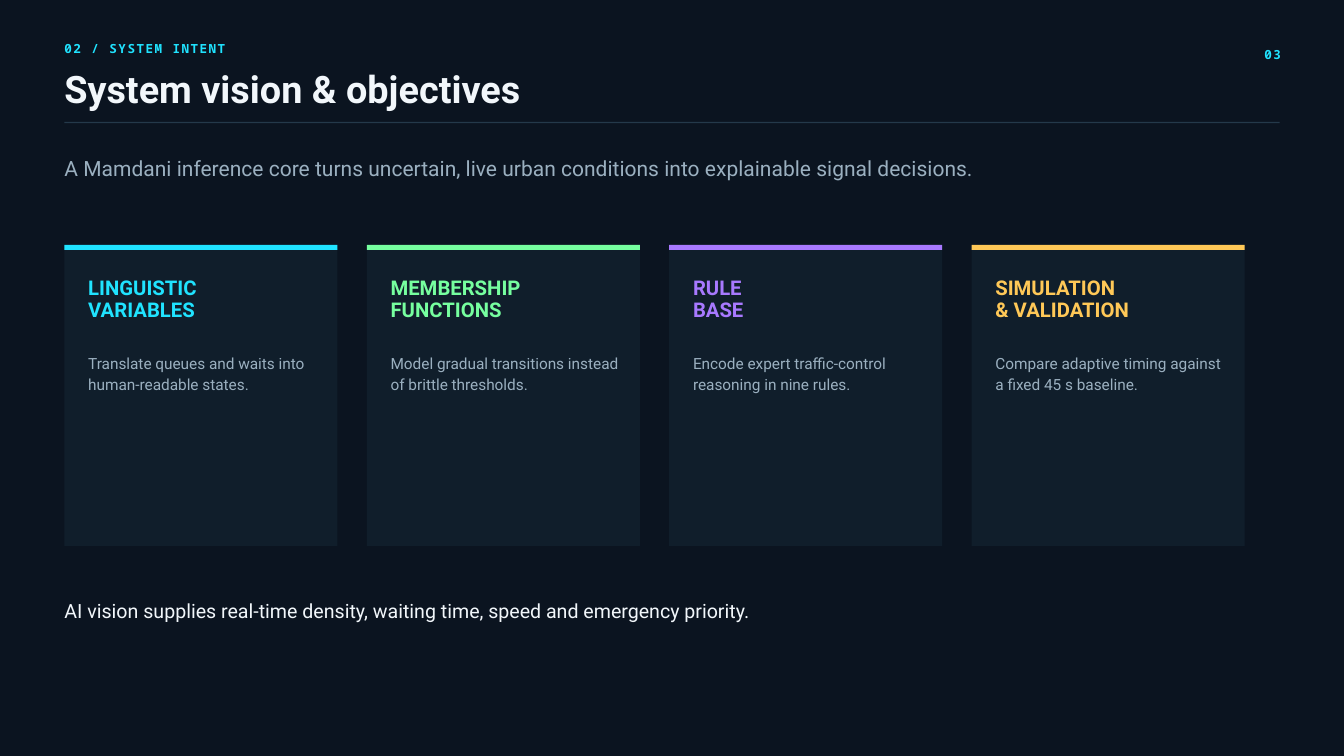
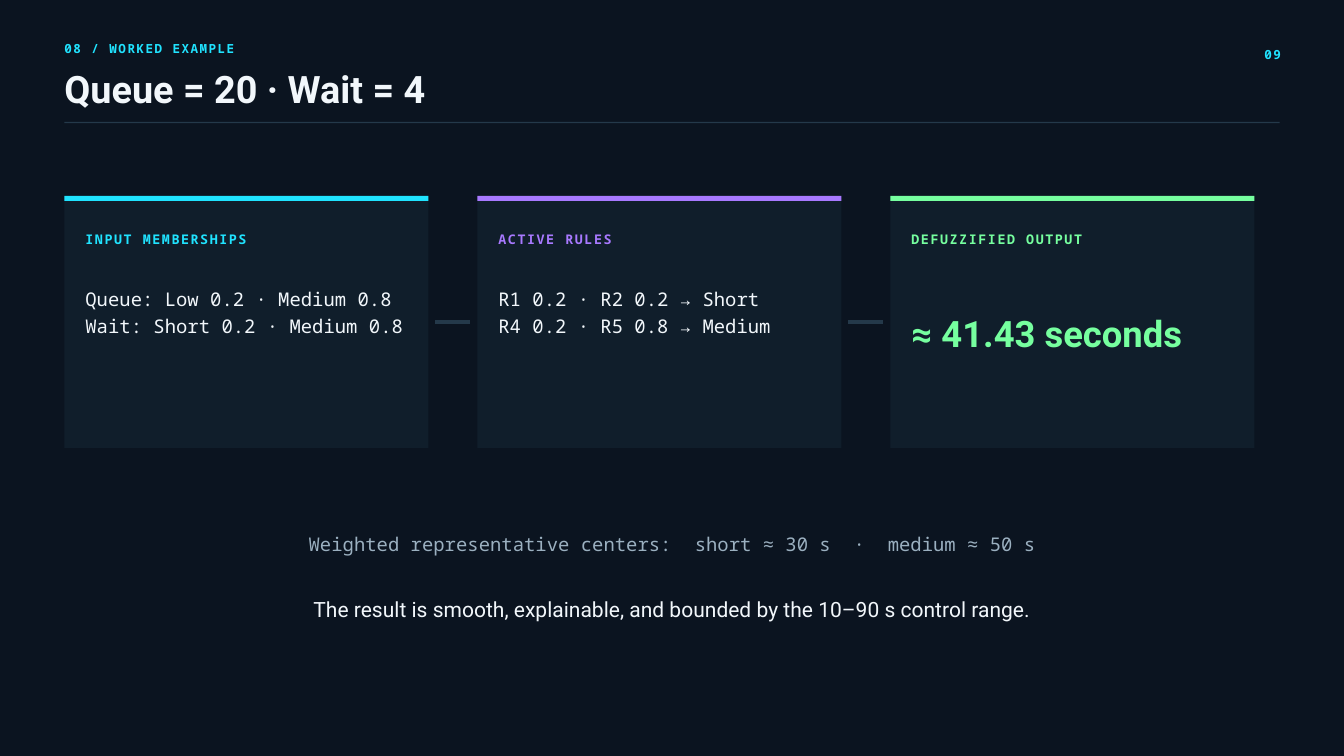
from lxml.etree import SubElement
from pptx import Presentation
from pptx.dml.color import RGBColor
from pptx.enum.shapes import MSO_CONNECTOR, MSO_SHAPE
from pptx.enum.text import MSO_AUTO_SIZE as AUTO, PP_ALIGN as ALIGN
from pptx.oxml.ns import qn
from pptx.util import Emu

PX = 9525  # EMU per px, 96 px to the inch
rgb = RGBColor.from_string

BACKGROUND, PANEL, RULE = "0B1420", "101E2B", "24394A"
WHITE, GREY = "F2F7FB", "9BB0C0"
CYAN, GREEN, VIOLET, AMBER = "20E3FF", "76FF9F", "A879FF", "FFC857"
SANS, MONO = "Roboto", "Noto Sans Mono"
LEFT, BAR = 92, 7
TRACKING = 0.12


def add_text(shapes, x, y, w, h, lines, size, color, font=SANS, bold=False,
             leading=1.4, align=ALIGN.LEFT, tracking=0):
    """Add one paragraph per line; size in px, leading and tracking in ems."""
    tf = shapes.add_textbox(x * PX, y * PX, w * PX, h * PX).text_frame
    tf.margin_left = tf.margin_top = tf.margin_right = tf.margin_bottom = 0
    tf.word_wrap = True
    tf.auto_size = AUTO.SHAPE_TO_FIT_TEXT
    tf.text = lines
    for p in tf.paragraphs:
        p.alignment = align
        p.line_spacing = Emu(round(size * leading * PX))
        p.font.name, p.font.size, p.font.bold = font, Emu(size * PX), bold
        p.font.color.rgb = rgb(color)
        if tracking:
            p.runs[0]._r.get_or_add_rPr().set("spc", str(round(size * tracking * 75)))
    return tf


def add_bands(shapes, x, y, w, *bands):
    """Group rectangles that share a top edge; each band is (height, fill)."""
    group = shapes.add_group_shape()
    for h, fill in bands:
        sp = group.shapes.add_shape(MSO_SHAPE.RECTANGLE, x * PX, y * PX, w * PX, h * PX)
        sp.shadow.inherit = False
        sp.fill.solid()
        sp.fill.fore_color.rgb = rgb(fill)
        sp.line.fill.background()
    return group.shapes


prs = Presentation()
prs.slide_width, prs.slide_height = 1920 * PX, 1080 * PX

headers = [
    ("02 / SYSTEM INTENT", "System vision & objectives", "03"),
    ("08 / WORKED EXAMPLE", "Queue = 20 · Wait = 4", "09"),
]
for kicker, title, number in headers:
    s = prs.slides.add_slide(prs.slide_layouts[6])
    s.background.fill.solid()
    s.background.fill.fore_color.rgb = rgb(BACKGROUND)
    add_text(s.shapes, LEFT, 55, 900, 24, kicker, 18, CYAN, MONO, True, tracking=TRACKING)
    add_text(s.shapes, LEFT, 103, 1500, 58, title, 54, WHITE, bold=True, leading=1.02)
    add_text(s.shapes, 1740, 63, 90, 24, number, 18, CYAN, MONO, True,
             align=ALIGN.RIGHT, tracking=TRACKING)
    add_bands(s.shapes, LEFT, 174, 1736, (2, RULE))

vision, example = prs.slides

# System vision & objectives
add_text(vision.shapes, LEFT, 217, 1500, 38,
         "A Mamdani inference core turns uncertain, live urban conditions into "
         "explainable signal decisions.", 30, GREY, leading=1.35)
objectives = [
    ("LINGUISTIC\nVARIABLES", CYAN,
     "Translate queues and waits into human-readable states."),
    ("MEMBERSHIP\nFUNCTIONS", GREEN,
     "Model gradual transitions instead of brittle thresholds."),
    ("RULE\nBASE", VIOLET,
     "Encode expert traffic-control reasoning in nine rules."),
    ("SIMULATION\n& VALIDATION", AMBER,
     "Compare adaptive timing against a fixed 45 s baseline."),
]
for i, (heading, accent, body) in enumerate(objectives):
    x = LEFT + i * 432
    card = add_bands(vision.shapes, x, 350, 390, (430, PANEL), (BAR, accent))
    add_text(card, x + 34, 398, 320, 62, heading, 29, accent, bold=True, leading=1.05)
    add_text(card, x + 34, 503, 330, 57, body, 22, GREY, leading=1.35)
add_text(vision.shapes, LEFT, 850, 1600, 38,
         "AI vision supplies real-time density, waiting time, speed and emergency priority.",
         28, WHITE)

# Worked example
stages = [
    ("INPUT MEMBERSHIPS", CYAN,
     "Queue: Low 0.2 · Medium 0.8\nWait: Short 0.2 · Medium 0.8"),
    ("ACTIVE RULES", VIOLET,
     "R1 0.2 · R2 0.2 → Short\nR4 0.2 · R5 0.8 → Medium"),
    ("DEFUZZIFIED OUTPUT", GREEN, "≈ 41.43 seconds"),
]
for i, (label, accent, body) in enumerate(stages):
    x = LEFT + i * 590
    card = add_bands(example.shapes, x, 280, 520, (360, PANEL), (BAR, accent))
    add_text(card, x + 30, 327, 460, 24, label, 19, accent, MONO, True, tracking=TRACKING)
    if i == len(stages) - 1:
        add_text(card, x + 30, 434, 460, 67, body, 52, accent, bold=True)
    else:
        add_text(card, x + 30, 406, 460, 72, body, 27, WHITE, MONO)
        link = example.shapes.add_connector(
            MSO_CONNECTOR.STRAIGHT, (x + 530) * PX, 460 * PX, (x + 580) * PX, 460 * PX)
        link.line.color.rgb = rgb(RULE)
        link.line.width = 5 * PX
        SubElement(link._element.spPr, qn("a:effectLst"))

centers = add_text(example.shapes, 320, 755, 1280, 36, "Weighted representative centers:",
                   27, GREY, MONO, align=ALIGN.CENTER)
p = centers.paragraphs[0]
for part in ("short ≈ 30 s", "·", "medium ≈ 50 s"):
    gap = p.add_run()
    gap.text = " "
    gap._r.get_or_add_rPr().set("spc", "1215")  # one extra character cell
    p.add_run().text = part
add_text(example.shapes, 300, 846, 1320, 40,
         "The result is smooth, explainable, and bounded by the 10–90 s control range.",
         30, WHITE, align=ALIGN.CENTER)

prs.save("out.pptx")
